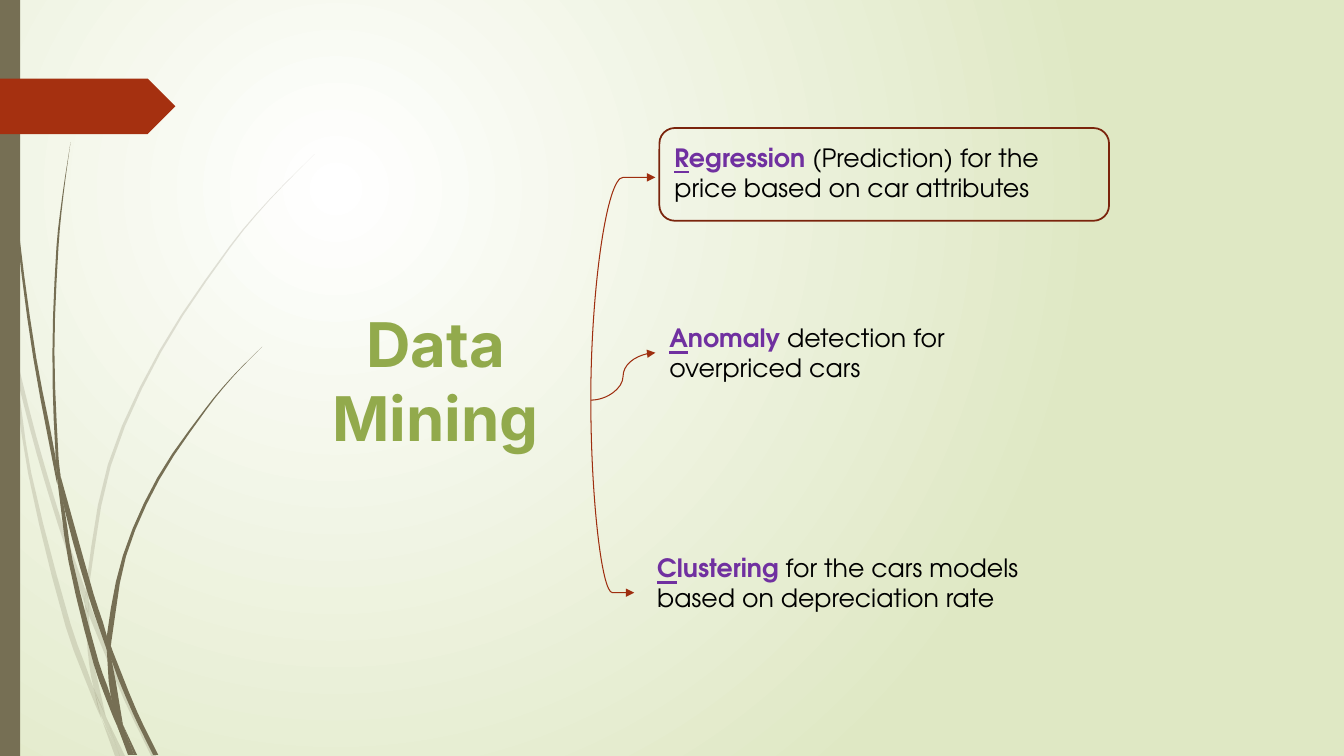
from dataclasses import dataclass
from math import dist

from lxml.etree import SubElement
from pptx import Presentation
from pptx.dml.color import RGBColor
from pptx.enum.shapes import MSO_CONNECTOR, MSO_SHAPE
from pptx.enum.text import PP_ALIGN
from pptx.oxml.ns import qn
from pptx.util import Inches, Pt


@dataclass(frozen=True)
class Theme:
    """Colours, fonts and sizes of the slide."""
    glow: str = "FFFFFF"
    backdrop: str = "DFE8C4"
    grass: str = "766F54"
    ribbon: str = "A53010"
    branch: str = "9E2E0F"
    frame: str = "7A240C"
    title: str = "92AA4C"
    keyword: str = "7030A0"
    body: str = "000000"
    title_font: str = "Inter"
    body_font: str = "TeX Gyre Adventor"
    title_size: int = 44
    body_size: int = 18
    faint_alpha: int = 20


THEME = Theme()

FAINT_BLADES = [
    ([(0, 2.82), (0.09, 3.22), (0.11, 3.5)], [(0, 2.99), (0.1, 3.44), (0.11, 3.5)]),
    ([(0.14, 3.45), (0.36, 4.33), (0.62, 5.2), (0.85, 5.86)],
     [(0.17, 3.76), (0.36, 4.49), (0.58, 5.22), (0.84, 5.99)]),
    ([(0.88, 5.96), (0.92, 6.07), (1.27, 6.92), (1.55, 7.5)], [(0.88, 6.1), (1.23, 6.94), (1.5, 7.5)]),
    ([(1.05, 7.11), (1.24, 7.5)], [(1.05, 7.11), (1.19, 7.5)]),
    ([(0.11, 3.5), (0.17, 3.76), (0.31, 4.69), (0.7, 6.19), (0.93, 6.83), (1.01, 7.14)],
     [(0.11, 3.5), (0.28, 4.7), (0.65, 6.21), (0.92, 6.93), (1.01, 7.14)]),
    ([(0.84, 5.99), (0.88, 6.1), (0.91, 6.46), (1.05, 7.11)],
     [(0.84, 5.99), (0.87, 6.46), (0.93, 6.83), (1.05, 7.11)]),
    ([(3.12, 1.53), (2.68, 1.98), (2.29, 2.45), (1.6, 3.49), (1.1, 4.62), (0.88, 5.84), (0.88, 5.96)],
     [(3.12, 1.53), (2.68, 1.97), (2.28, 2.44), (1.58, 3.48), (1.07, 4.61), (0.85, 5.84), (0.88, 5.96)]),
    ([(1.01, 7.14), (1.19, 7.5)], [(1.01, 7.14), (1.14, 7.5)]),
    ([(0.85, 5.86), (0.88, 5.96), (0.88, 6.1)], [(0.85, 5.86), (0.84, 5.99), (0.88, 6.1)]),
    ([(0.93, 6.83), (1.05, 7.11), (1.19, 7.5)], [(0.93, 6.83), (0.99, 7.07), (1.19, 7.5)]),
]
DARK_BLADES = [
    ([(0.04, 0), (0.08, 1.09), (0.19, 2.32), (0.36, 3.55), (0.55, 4.53), (0.57, 4.81)],
     [(0.03, 0), (0.07, 1.1), (0.17, 2.33), (0.33, 3.55), (0.56, 4.77), (0.57, 4.81)]),
    ([(0.6, 4.72), (0.93, 5.9), (1.06, 6.31), (1.06, 6.45)],
     [(0.6, 4.72), (0.64, 5.05), (0.88, 5.92), (1.06, 6.45)]),
    ([(1.1, 6.41), (1.13, 6.49), (1.36, 7.06), (1.57, 7.49)],
     [(1.1, 6.41), (1.11, 6.56), (1.32, 7.08), (1.52, 7.49)]),
    ([(0.57, 4.77), (0.64, 5.05), (0.72, 5.56), (0.98, 6.57), (1.1, 6.91), (1.17, 7.22)],
     [(0.57, 4.77), (0.68, 5.57), (0.93, 6.59), (1.11, 7.08), (1.17, 7.22)]),
    ([(0.7, 1.41), (0.63, 1.93), (0.58, 2.45), (0.54, 3.49), (0.58, 4.53), (0.6, 4.72)],
     [(0.7, 1.41), (0.62, 1.93), (0.56, 2.45), (0.52, 3.49), (0.55, 4.49), (0.6, 4.72)]),
    ([(1.22, 7.19), (1.36, 7.49)], [(1.22, 7.19), (1.33, 7.49)]),
    ([(0.55, 4.49), (0.6, 4.72), (0.64, 5.05)], [(0.55, 4.49), (0.57, 4.77), (0.64, 5.05)]),
    ([(2.6, 3.44), (2.31, 3.74), (2.05, 4.06), (1.58, 4.76), (1.25, 5.52), (1.11, 6.33), (1.1, 6.41)],
     [(2.6, 3.44), (2.31, 3.73), (2.04, 4.05), (1.56, 4.74), (1.22, 5.51), (1.06, 6.31), (1.1, 6.41)]),
    ([(1.17, 7.22), (1.31, 7.49)], [(1.17, 7.22), (1.27, 7.49)]),
    ([(1.06, 6.45), (1.11, 6.56), (1.22, 7.19)], [(1.06, 6.45), (1.1, 6.91), (1.22, 7.19)]),
    ([(1.06, 6.31), (1.1, 6.41), (1.11, 6.56)], [(1.06, 6.31), (1.06, 6.45), (1.11, 6.56)]),
    ([(1.1, 6.91), (1.22, 7.19), (1.33, 7.49)], [(1.1, 6.91), (1.17, 7.22), (1.3, 7.49)]),
]
BRANCH_ROOT = (5.86, 3.97)
TASKS = [
    ("Regression", " (Prediction) for the price based on car attributes", (6.59, 1.36), (6.5, 1.76)),
    ("Anomaly", " detection for overpriced cars", (6.54, 3.15), (6.5, 3.5)),
    ("Clustering", " for the cars models based on depreciation rate", (6.42, 5.43), (6.29, 5.88)),
]


def rgb(code):
    """Turn a hex code into a colour."""
    return RGBColor.from_string(code)


def paint_background(slide):
    """Fill the slide with a circular glow."""
    fill = slide.background.fill
    fill.gradient()
    for stop, code in zip(fill.gradient_stops, (THEME.glow, THEME.backdrop)):
        stop.color.rgb = rgb(code)
    gradient = slide._element.find(".//" + qn("a:gradFill"))
    gradient.remove(gradient.find(qn("a:lin")))
    glow = SubElement(gradient, qn("a:path"), {"path": "circle"})
    SubElement(glow, qn("a:fillToRect"), {"l": "50000", "t": "50000", "r": "100000", "b": "100000"})


def style_solid(shape, code):
    """Give a shape a flat fill without line or shadow."""
    shape.shadow.inherit = False
    shape.fill.solid()
    shape.fill.fore_color.rgb = rgb(code)
    shape.line.fill.background()


def smooth(edge, steps=3):
    """Sample a Hermite curve through the points of an edge."""
    if len(edge) == 2:
        return edge
    ends = list(zip([edge[0], *edge], [*edge[1:], edge[-1]]))
    slopes = [[(q - p) / dist(a, b) for p, q in zip(a, b)] for a, b in ends]
    curve = []
    for a, b, slope_a, slope_b in zip(edge, edge[1:], slopes, slopes[1:]):
        for t in (step / steps for step in range(steps)):
            blend = t * t * (3 - 2 * t)
            pull_a, pull_b = dist(a, b) * t * (1 - t) ** 2, dist(a, b) * t * t * (t - 1)
            curve.append(tuple(p + (q - p) * blend + pull_a * u + pull_b * v
                               for p, q, u, v in zip(a, b, slope_a, slope_b)))
    return curve + [edge[-1]]


def add_blade(slide, right_edge, left_edge, alpha=None):
    """Draw a piece of grass between its two edges."""
    outline = [tuple(map(Inches, point)) for point in smooth(right_edge) + smooth(left_edge)[::-1]]
    builder = slide.shapes.build_freeform(*outline[0])
    builder.add_line_segments(outline[1:])
    blade = builder.convert_to_shape()
    style_solid(blade, THEME.grass)
    if alpha:
        colour = blade._element.spPr.find(".//" + qn("a:srgbClr"))
        SubElement(colour, qn("a:alpha"), {"val": str(alpha * 1000)})


def add_block(slide, preset, code, left, top, width, height):
    """Add a flat preset shape."""
    block = slide.shapes.add_shape(preset, Inches(left), Inches(top), Inches(width), Inches(height))
    style_solid(block, code)


def add_frame(slide, left, top, width, height):
    """Outline the highlighted task."""
    frame = slide.shapes.add_shape(
        MSO_SHAPE.ROUNDED_RECTANGLE, Inches(left), Inches(top), Inches(width), Inches(height))
    frame.shadow.inherit = False
    frame.fill.background()
    frame.line.color.rgb = rgb(THEME.frame)
    frame.line.width = Pt(1.25)


def add_branch(slide, start, end, upright):
    """Draw a curved arrow, leaving vertically if upright."""
    begin, finish = start, end
    if upright:
        middle_x, middle_y = (start[0] + end[0]) / 2, (start[1] + end[1]) / 2
        half_w = abs(end[1] - start[1]) / 2
        half_h = (end[0] - start[0]) / 2 * (1 if end[1] < start[1] else -1)
        begin = middle_x + half_w, middle_y + half_h
        finish = middle_x - half_w, middle_y - half_h
    branch = slide.shapes.add_connector(MSO_CONNECTOR.CURVE, *map(Inches, begin + finish))
    branch.line.color.rgb = rgb(THEME.branch)
    branch.line.width = Pt(0.75)
    properties = branch._element.spPr
    SubElement(properties.find(qn("a:ln")), qn("a:tailEnd"), {"type": "triangle"})
    SubElement(properties, qn("a:effectLst"))
    if upright:
        turn = 90 if end[1] < start[1] else 270
        properties.find(qn("a:xfrm")).set("rot", str(turn * 60000))
        guides = properties.find(qn("a:prstGeom")).get_or_add_avLst()
        SubElement(guides, qn("a:gd"), {"name": "adj1", "fmla": "val 100000"})


def add_paragraph_box(slide, left, top, width, height):
    """Add a wrapping text box and return its paragraph."""
    box = slide.shapes.add_textbox(Inches(left), Inches(top), Inches(width), Inches(height))
    box.text_frame.word_wrap = True
    return box.text_frame.paragraphs[0]


def add_run(paragraph, text, font, size, code, bold=False, underline=False):
    """Append one styled run."""
    run = paragraph.add_run()
    run.text = text
    run.font.name, run.font.size = font, Pt(size)
    run.font.color.rgb = rgb(code)
    run.font.bold, run.font.underline = bold, underline


def add_task(slide, keyword, detail, corner):
    """Write a task with its keyword and underlined initial."""
    task = add_paragraph_box(slide, *corner, 4.22, 0.71)
    font, size = THEME.body_font, THEME.body_size
    add_run(task, keyword[0], font, size, THEME.keyword, bold=True, underline=True)
    add_run(task, keyword[1:], font, size, THEME.keyword, bold=True)
    add_run(task, detail, font, size, THEME.body)


def main():
    """Build and save the slide."""
    deck = Presentation()
    deck.slide_width, deck.slide_height = Inches(13.33), Inches(7.5)
    slide = deck.slides.add_slide(deck.slide_layouts[6])
    paint_background(slide)
    for edges in FAINT_BLADES:
        add_blade(slide, *edges, alpha=THEME.faint_alpha)
    for edges in DARK_BLADES:
        add_blade(slide, *edges)
    add_block(slide, MSO_SHAPE.RECTANGLE, THEME.grass, 0, 0, 0.2, 7.5)
    add_block(slide, MSO_SHAPE.PENTAGON, THEME.ribbon, 0, 0.78, 1.74, 0.55)
    heading = add_paragraph_box(slide, 2.83, 2.99, 2.98, 0.77)
    heading.alignment = PP_ALIGN.CENTER
    add_run(heading, "Data Mining", THEME.title_font, THEME.title_size, THEME.title, bold=True)
    for keyword, detail, corner, arrow_tip in TASKS:
        add_branch(slide, BRANCH_ROOT, arrow_tip, upright=keyword != "Anomaly")
        add_task(slide, keyword, detail, corner)
    add_frame(slide, 6.54, 1.27, 4.46, 0.92)
    deck.save("out.pptx")


if __name__ == "__main__":
    main()
